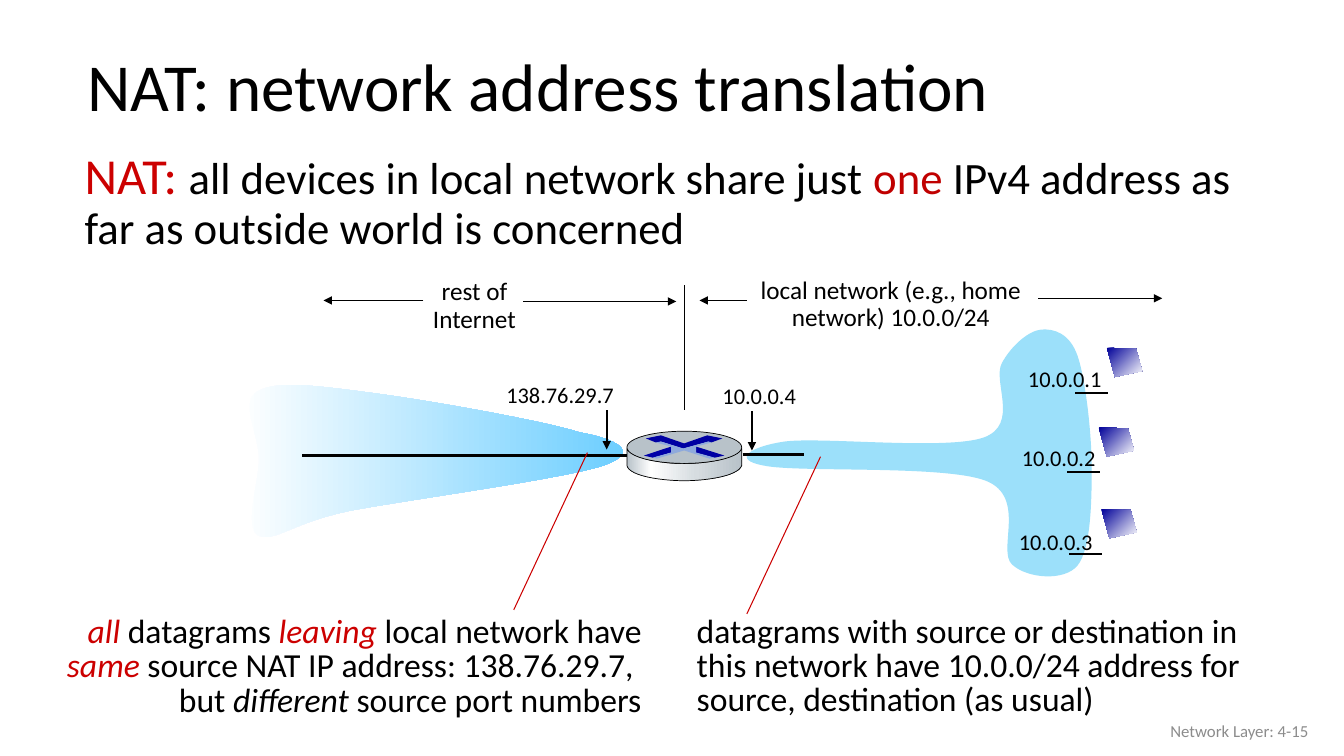
from lxml.etree import SubElement
from pptx import Presentation
from pptx.dml.color import RGBColor
from pptx.enum.shapes import MSO_CONNECTOR, MSO_SHAPE
from pptx.enum.text import MSO_ANCHOR, MSO_AUTO_SIZE, PP_ALIGN
from pptx.oxml.ns import qn
from pptx.util import Pt

BLACK = RGBColor(0x00, 0x00, 0x00)
WHITE = RGBColor(0xFF, 0xFF, 0xFF)
RED = RGBColor(0xCC, 0x00, 0x00)
DARK_RED = RGBColor(0xC0, 0x00, 0x00)
GRAY = RGBColor(0x8C, 0x8C, 0x8C)
SKY = RGBColor(0x9C, 0xE0, 0xFA)
INTERNET_BLUE = RGBColor(0x66, 0xCC, 0xFF)
HOST_BLUE = RGBColor(0x00, 0x00, 0x99)
STEEL = RGBColor(0xB8, 0xC2, 0xC9)
PALE_STEEL = RGBColor(0xD6, 0xDC, 0xE0)
ARROW_BLUE = RGBColor(0x00, 0x00, 0xA3)
LEFT_ARROW_BLUE = RGBColor(0x00, 0x00, 0xA8)
GLOW_BLUE = RGBColor(0x8F, 0xAA, 0xDC)
FONT = "Calibri"

# Outlines: segments of one point (start or line) or three (cubic curve).
INTERNET_CLOUD = [
    [(244, 113.9)],
    [(216.6, 105.2), (134.6, 90.8), (96.4, 85.8)],
    [(58.2, 80.8), (28, 76.4), (14.3, 84.4)],
    [(0.6, 91.6), (15, 115.3), (15, 132.6)],
    [(15, 149.9), (4.2, 180.8), (14.3, 187.3)],
    [(25.1, 193.1), (38.1, 178.7), (79.1, 170)],
    [(120.2, 162.1), (232.5, 147), (260.6, 137.6)],
    [(287.9, 128.3), (272.1, 118.9), (244, 113.9)]]
LOCAL_CLOUD = [
    [(70.2, 120.4)],
    [(96.1, 116.8), (186.1, 126.8), (212.7, 117.5)],
    [(238.6, 108.1), (218.5, 77.2), (225.7, 64.2)],
    [(232.9, 51.2), (245.1, 41.2), (253.8, 40.4)],
    [(262.4, 39.7), (273.9, 42.6), (279.7, 59.2)],
    [(285.4, 75.7), (289.8, 114.6), (289.8, 139.8)],
    [(289.8, 165), (289, 197.4), (279.7, 208.9)],
    [(270.3, 220.4), (243.7, 218.3), (232.9, 208.2)],
    [(222.1, 198.1), (243.7, 160), (214.2, 148.4)],
    [(184.6, 136.9), (79.5, 142.7), (55.8, 137.6)],
    [(32, 133.3), (45.7, 124), (70.2, 120.4)]]
ROUTER_SIDE = [
    [(82, 12.4)],
    [(82, 24.6)],
    [(79, 32.6), (54.6, 35.4), (40.9, 35.4)],
    [(27.2, 35.4), (2, 32.6), (0, 24.6)],
    [(0, 12.4)],
    [(3.4, 19.6), (26.5, 23.2), (40.2, 23.2)],
    [(53.8, 23.2), (77.6, 20.3), (82, 12.4)]]
ROUTER_MARKS = [
    (ARROW_BLUE, [(57.4, 3), (68.2, 5.2), (60.3, 8.1), (58.2, 7.4), (40.2, 12.4),
                  (24.3, 7.4), (20.7, 8.1), (13.5, 5.2), (24.3, 3), (40.9, 8.8)]),
    (ARROW_BLUE, [(49.5, 11), (69.7, 17.4), (62.5, 18.9), (48.8, 15.3)]),
    (LEFT_ARROW_BLUE, [(31.5, 11), (31.5, 15.3), (18.6, 18.9), (12.1, 17.4)]),
    (GLOW_BLUE, [(20.7, 8.1), (24.3, 7.4), (40.2, 12.4), (58.2, 7.4), (60.3, 8.1),
                 (49.5, 11), (49.5, 15.3), (62.5, 18.9), (58.9, 19.6), (40.9, 13.8),
                 (21.4, 19.6), (18.6, 18.9), (31.5, 15.3), (31.5, 11)])]
HOST_SCREEN = [(0, 0), (20.9, 0.7), (25.2, 16.6), (5.8, 20.9)]


def paint(shape, fill, angle=0, outlined=False):
    """Fill with one colour, or with a list of (percent, colour) gradient stops."""
    shape.shadow.inherit = False
    if isinstance(fill, list):
        shape.fill.gradient()
        shape.fill.gradient_angle = angle
        stops = shape._element.spPr.find(".//" + qn("a:gsLst"))
        stops.clear()
        for percent, color in fill:
            stop = SubElement(stops, qn("a:gs"), pos=str(percent * 1000))
            SubElement(stop, qn("a:srgbClr"), val=str(color))
    else:
        shape.fill.solid()
        shape.fill.fore_color.rgb = fill
    if outlined:
        shape.line.color.rgb = BLACK
        shape.line.width = Pt(0.5)
    else:
        shape.line.fill.background()


def add_outline(slide, x, y, segments, fill, **style):
    """Draw the control points as lines, then merge each curve's three lines into one curve."""
    corners = [(Pt(x + dx), Pt(y + dy)) for segment in segments for dx, dy in segment]
    builder = slide.shapes.build_freeform(*corners[0])
    builder.add_line_segments(corners[1:], close=True)
    shape = builder.convert_to_shape()
    outline = shape._element.spPr.find(".//" + qn("a:path"))
    lines = iter(outline.findall(qn("a:lnTo")))
    for segment in segments[1:]:
        first, *others = [next(lines) for _ in segment]
        if others:
            first.tag = qn("a:cubicBezTo")
        for other in others:
            first.append(other[0])
            outline.remove(other)
    paint(shape, fill, **style)


def add_polygon(slide, x, y, points, fill, **style):
    add_outline(slide, x, y, [[point] for point in points], fill, **style)


def add_line(slide, x1, y1, x2, y2, width=0.75, color=BLACK, arrow=False):
    line = slide.shapes.add_connector(MSO_CONNECTOR.STRAIGHT, Pt(x1), Pt(y1), Pt(x2), Pt(y2))
    line.line.color.rgb = color
    line.line.width = Pt(width)
    if arrow:
        SubElement(line.line._get_or_add_ln(), qn("a:tailEnd"), type="triangle")
    SubElement(line._element.spPr, qn("a:effectLst"))


def add_text(slide, x, y, width, height, paragraphs, size, color=BLACK,
             align=PP_ALIGN.LEFT, spacing=1.0, wrap=True):
    """Each paragraph is a list of (text, colour or None, italic) runs, or a string."""
    box = slide.shapes.add_textbox(Pt(x), Pt(y), Pt(width), Pt(height))
    frame = box.text_frame
    frame.word_wrap = wrap
    frame.auto_size = MSO_AUTO_SIZE.SHAPE_TO_FIT_TEXT
    for index, parts in enumerate(paragraphs):
        paragraph = frame.add_paragraph() if index else frame.paragraphs[0]
        paragraph.alignment = align
        paragraph.line_spacing = spacing
        for text, run_color, italic in [(parts, None, False)] if isinstance(parts, str) else parts:
            run = paragraph.add_run()
            run.text = text
            run.font.name = FONT
            run.font.size = Pt(size)
            run.font.italic = italic
            run.font.color.rgb = run_color or color
    return frame


def add_title(slide, x, y, width, height):
    title = slide.shapes.title
    title.left, title.top, title.width, title.height = Pt(x), Pt(y), Pt(width), Pt(height)
    frame = title.text_frame
    frame.text = "NAT: network address translation"
    frame.vertical_anchor = MSO_ANCHOR.MIDDLE
    heading = frame.paragraphs[0]
    heading.alignment = PP_ALIGN.LEFT
    heading.line_spacing = 0.9
    font = heading.runs[0].font
    font.name, font.size, font.color.rgb = FONT, Pt(48), BLACK


def add_definition(slide, x, y, width, height):
    frame = add_text(slide, x, y, width, height, [[
        ("NAT: ", RED, False), ("all devices in local network share just ", None, False),
        ("one", DARK_RED, False),
        (" IPv4 address as far as outside world is concerned", None, False)]], 32, spacing=0.9)
    frame.margin_left = Pt(25.9)
    frame.paragraphs[0].runs[0].font.size = Pt(36)


def add_address(slide, x, y, address, width=67.7):
    add_text(slide, x, y, width, 28, [address], 16, wrap=False)


def add_internet(slide, x, y):
    add_outline(slide, x, y, INTERNET_CLOUD, [(0, WHITE), (100, INTERNET_BLUE)])
    add_address(slide, x + 184.6, y + 73.6, "138.76.29.7", 92.2)
    add_line(slide, x + 263.4, y + 98, x + 263.4, y + 126.1, 1.5, arrow=True)
    add_line(slide, x + 203.7, y + 20.3, x + 313.1, y + 20.3, arrow=True)
    add_line(slide, x + 132.4, y + 19.6, x + 61.1, y + 19.6, arrow=True)
    add_text(slide, x + 131.4, y + 0.8, 75, 48, ["rest of", "Internet"], 18,
             align=PP_ALIGN.CENTER, spacing=0.9, wrap=False)
    add_line(slide, x + 46, y + 130.4, x + 277.8, y + 130.4, 2)


def add_router(slide, x, y, width, top_height):
    add_outline(slide, x, y, ROUTER_SIDE,
                [(0, STEEL), (21, WHITE), (60, PALE_STEEL), (100, STEEL)], outlined=True)
    top = slide.shapes.add_shape(MSO_SHAPE.OVAL, Pt(x), Pt(y), Pt(width), Pt(top_height))
    paint(top, STEEL, outlined=True)
    for color, points in ROUTER_MARKS:
        add_polygon(slide, x, y, points, color)


def add_local_network(slide, x, y):
    add_outline(slide, x, y, LOCAL_CLOUD, SKY)
    add_text(slide, x + 35.8, y, 221, 44.6, ["local network (e.g., home network) 10.0.0/24"], 18,
             align=PP_ALIGN.CENTER, spacing=0.9)
    add_line(slide, x + 251.6, y + 18.1, x + 340.2, y + 18.1, arrow=True)
    add_line(slide, x + 43.5, y + 19.6, x + 9.7, y + 19.6, arrow=True)
    add_line(slide, x - 1.1, y + 8.8, x - 1.1, y + 98)
    add_address(slide, x + 19, y + 74.3, "10.0.0.4")
    add_line(slide, x + 47.1, y + 98.8, x + 47.1, y + 126.8, 1.5, arrow=True)
    add_line(slide, x + 40.6, y + 129.7, x + 84.6, y + 129.7, 2)
    hosts = [("10.0.0.1", 237.2, 62, 278.2, 85.8, 300.6, 53.4),
             ("10.0.0.2", 232.9, 118.9, 272.5, 142, 294.8, 110.3),
             ("10.0.0.3", 230.7, 178.7, 273.9, 201, 296.7, 168.6)]
    for address, label_x, label_y, link_x, link_y, screen_x, screen_y in hosts:
        add_polygon(slide, x + screen_x, y + screen_y, HOST_SCREEN,
                    [(0, HOST_BLUE), (100, WHITE)], angle=315)
        add_address(slide, x + label_x, y + label_y, address)
        add_line(slide, x + link_x, y + link_y, x + link_x + 23, y + link_y, 1.5)


def add_callout(slide, x, y, width, leader_x, leader_y, parts, align):
    """Explanation with a red leader line rising into the diagram."""
    add_text(slide, x, y, width, 81.4, [parts], 24, align=align, spacing=0.85)
    add_line(slide, x + leader_x, y + leader_y, x + leader_x + 52.6, y + leader_y - 112.3,
             color=RED)


def main():
    deck = Presentation()
    deck.slide_width, deck.slide_height = Pt(960), Pt(540)
    slide = deck.slides.add_slide(deck.slide_layouts[5])
    add_title(slide, 55.4, 22.3, 828, 84.2)
    add_definition(slide, 34.6, 104.4, 876.2, 81.4)
    add_local_network(slide, 490, 195)
    add_internet(slide, 170, 195)
    add_router(slide, 447.8, 308, 82, 23)
    add_callout(slide, 490.6, 436.3, 431.3, 42.9, 2.2,
                "datagrams with source or destination in this network have 10.0.0/24 "
                "address for  source, destination (as usual)", PP_ALIGN.LEFT)
    add_callout(slide, 29.7, 436.6, 435.6, 337.3, -1, [
        ("all ", RED, True), ("datagrams ", None, False), ("leaving", RED, True),
        (" local network have ", None, False), ("same", RED, True),
        (" source NAT IP address: 138.76.29.7,  but ", None, False),
        ("different", None, True), (" source port numbers", None, False)], PP_ALIGN.RIGHT)
    footer = add_text(slide, 725.8, 507.6, 216, 28.8, ["Network Layer: 4-15"], 12, GRAY,
                      PP_ALIGN.RIGHT)
    footer.auto_size = MSO_AUTO_SIZE.NONE
    footer.vertical_anchor = MSO_ANCHOR.MIDDLE
    deck.save("out.pptx")


if __name__ == "__main__":
    main()
